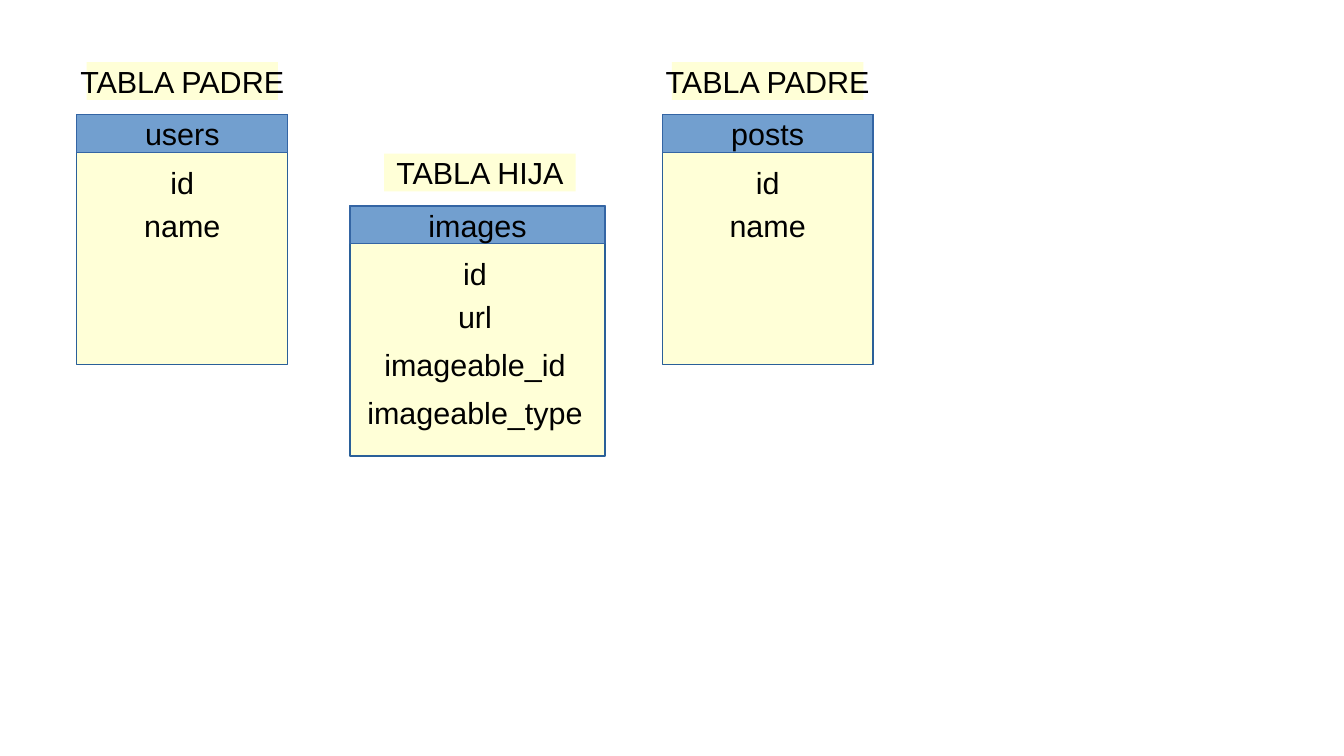
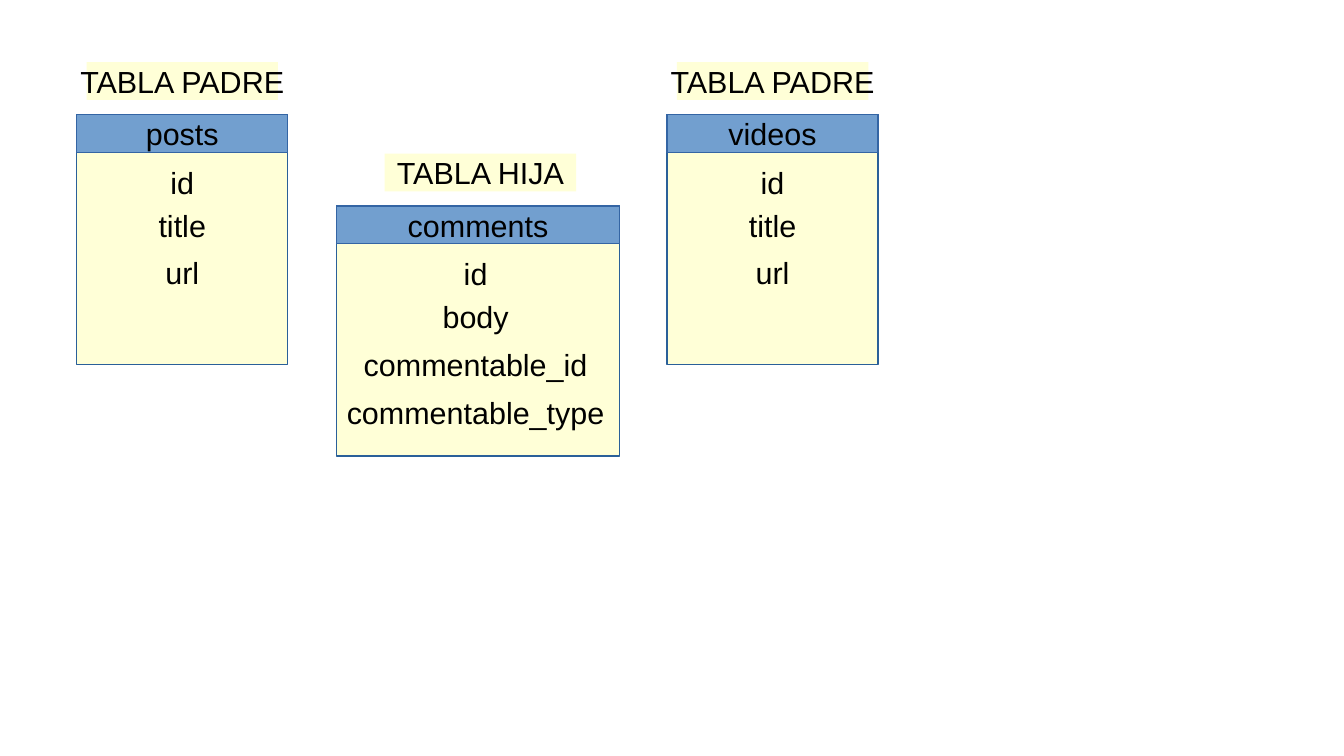
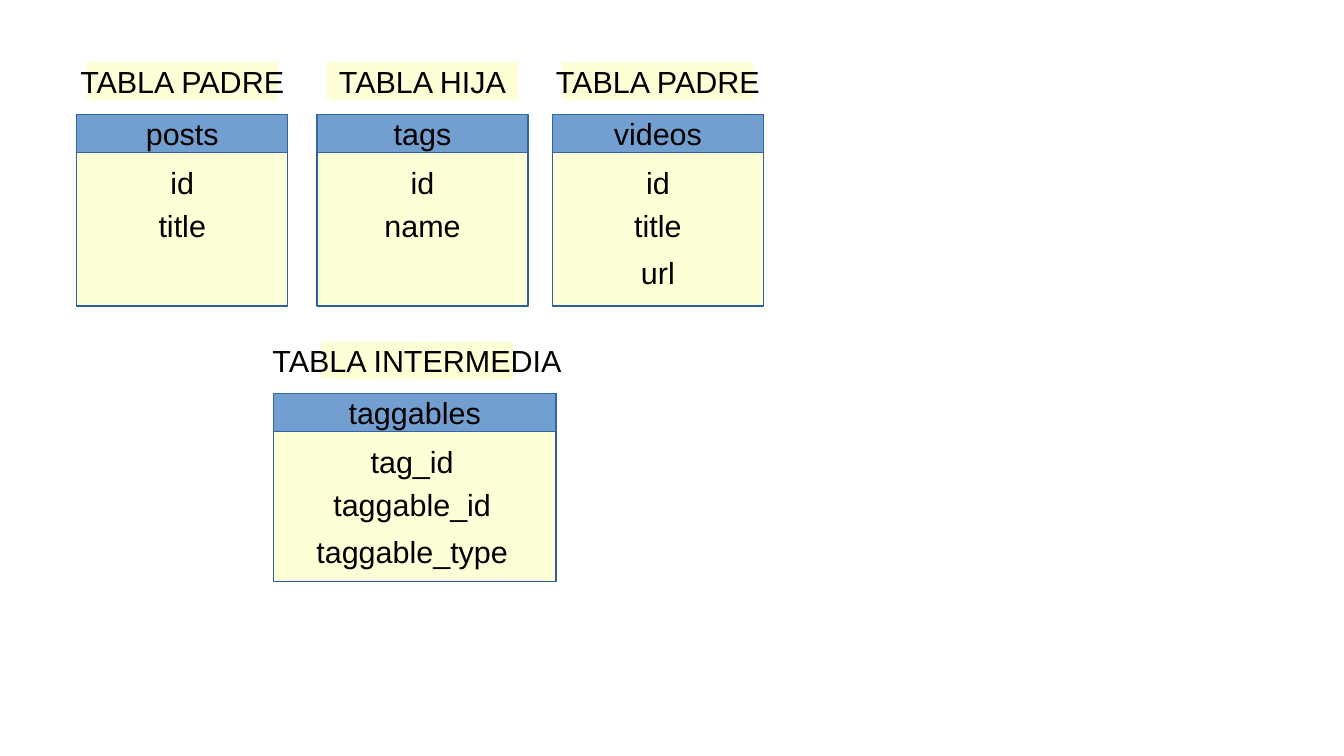
from pptx import Presentation
from pptx.dml.color import RGBColor
from pptx.enum.shapes import MSO_SHAPE as Preset
from pptx.enum.text import MSO_ANCHOR as Anchor, PP_ALIGN as Align
from pptx.util import Inches, Pt

CREAM = RGBColor(0xFF, 0xFF, 0xD7)
HEADER_BLUE = RGBColor(0x72, 0x9F, 0xCF)
HEADER_EDGE = RGBColor(0x34, 0x65, 0xA4)
BODY_EDGE = RGBColor(0x2A, 0x60, 0x99)
BLACK = RGBColor(0, 0, 0)
FONT = "Arial"

NARROW = 1.73
ROW_WIDTH = 1.57
ROW_HEIGHT = 0.31
ROLE_RISE = 0.43
FIELD_OFFSETS = (0.4, 0.75, 1.14, 1.54)
WIDE_SKEW = 0.02

PARENT = "TABLA PADRE"
CHILD = "TABLA HIJA"
PIVOT = "TABLA INTERMEDIA"

DIAGRAMS = [
    [
        (PARENT, "users", ["id", "name"], (0.63, 0.94, NARROW, 2.05)),
        (CHILD, "images", ["id", "url", "imageable_id", "imageable_type"],
         (2.87, 1.69, 2.09, 2.05)),
        (PARENT, "posts", ["id", "name"], (5.43, 0.94, NARROW, 2.05)),
    ],
    [
        (PARENT, "posts", ["id", "title", "url"], (0.63, 0.94, NARROW, 2.05)),
        (CHILD, "comments", ["id", "body", "commentable_id", "commentable_type"],
         (2.76, 1.69, 2.32, 2.05)),
        (PARENT, "videos", ["id", "title", "url"], (5.47, 0.94, NARROW, 2.05)),
    ],
    [
        (PARENT, "posts", ["id", "title"], (0.63, 0.94, NARROW, 1.57)),
        (CHILD, "tags", ["id", "name"], (2.6, 0.94, NARROW, 1.57)),
        (PARENT, "videos", ["id", "title", "url"], (4.53, 0.94, NARROW, 1.57)),
        (PIVOT, "taggables", ["tag_id", "taggable_id", "taggable_type"],
         (2.24, 3.23, 2.32, 1.54)),
    ],
]


def write_text(shape, text, *, size=18, color=BLACK, align=Align.CENTER):
    frame = shape.text_frame
    frame.word_wrap = False
    frame.vertical_anchor = Anchor.MIDDLE
    paragraph = frame.paragraphs[0]
    paragraph.alignment = align
    run = paragraph.add_run()
    run.text = text
    run.font.name = FONT
    run.font.size = Pt(size)
    run.font.color.rgb = color


def add_box(slide, left, top, width, height, *, fill=CREAM, edge=None, text=None):
    box = slide.shapes.add_shape(
        Preset.RECTANGLE, Inches(left), Inches(top), Inches(width), Inches(height))
    box.shadow.inherit = False
    box.fill.solid()
    box.fill.fore_color.rgb = fill
    if edge is None:
        box.line.fill.background()
    else:
        box.line.color.rgb = edge
        box.line.width = Pt(0)
    if text is not None:
        write_text(box, text)


def add_entity(slide, role, entity, fields, bounds):
    left, top, width, height = bounds
    row_left = left + (width - ROW_WIDTH) / 2
    skew = WIDE_SKEW if width > NARROW else 0
    add_box(slide, left, top, width, height, edge=BODY_EDGE)
    add_box(slide, left, top, width, ROW_HEIGHT,
            fill=HEADER_BLUE, edge=HEADER_EDGE, text=entity)
    for field, offset in zip(fields, FIELD_OFFSETS):
        add_box(slide, row_left - skew, top + offset, ROW_WIDTH, ROW_HEIGHT, text=field)
    add_box(slide, row_left + skew, top - ROLE_RISE, ROW_WIDTH, ROW_HEIGHT, text=role)


def main():
    deck = Presentation()
    deck.slide_width = Inches(11.02)
    deck.slide_height = Inches(6.2)
    blank_layout = deck.slide_layouts[6]
    for diagram in DIAGRAMS:
        slide = deck.slides.add_slide(blank_layout)
        for role, entity, fields, bounds in diagram:
            add_entity(slide, role, entity, fields, bounds)
    deck.save("out.pptx")


if __name__ == "__main__":
    main()
